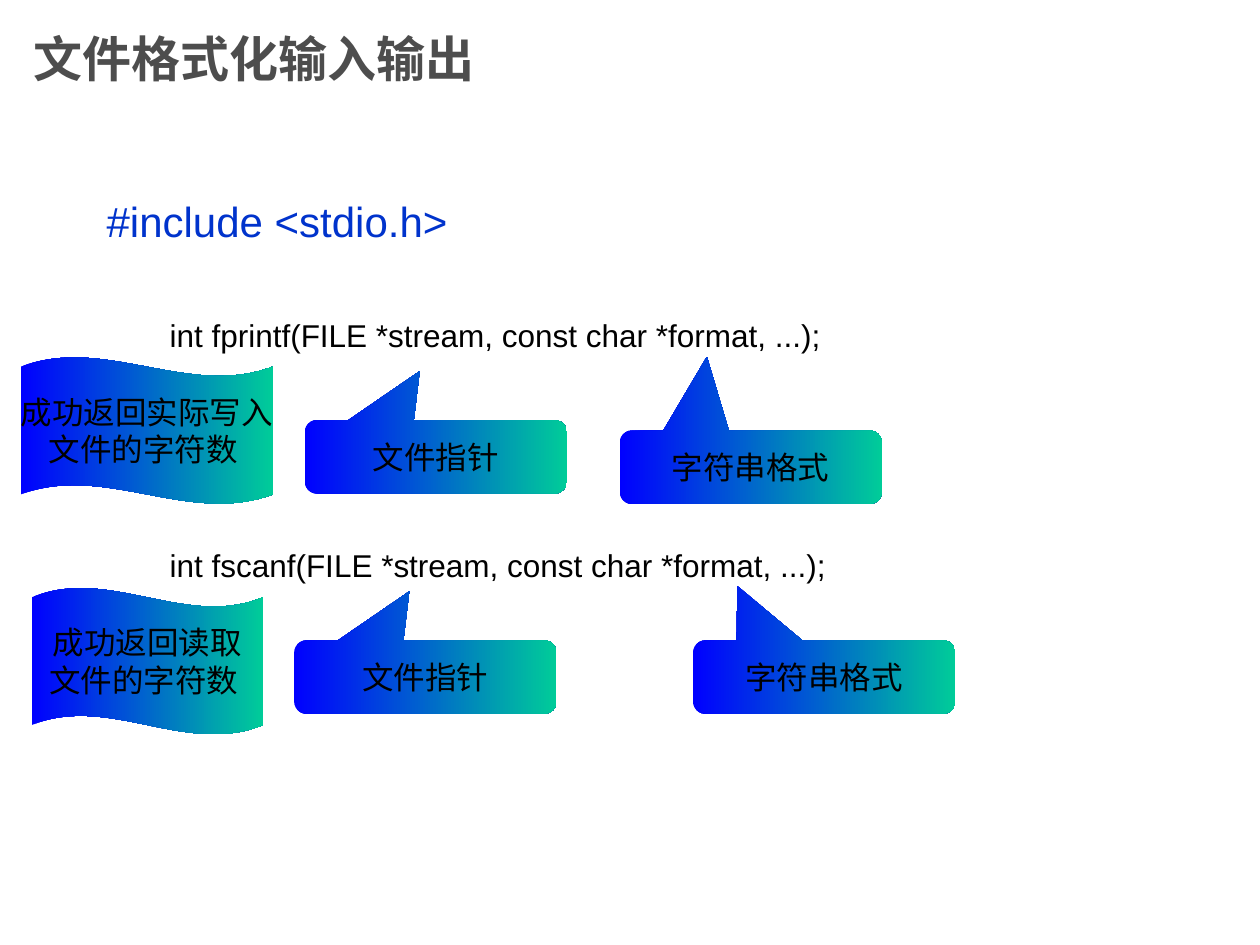
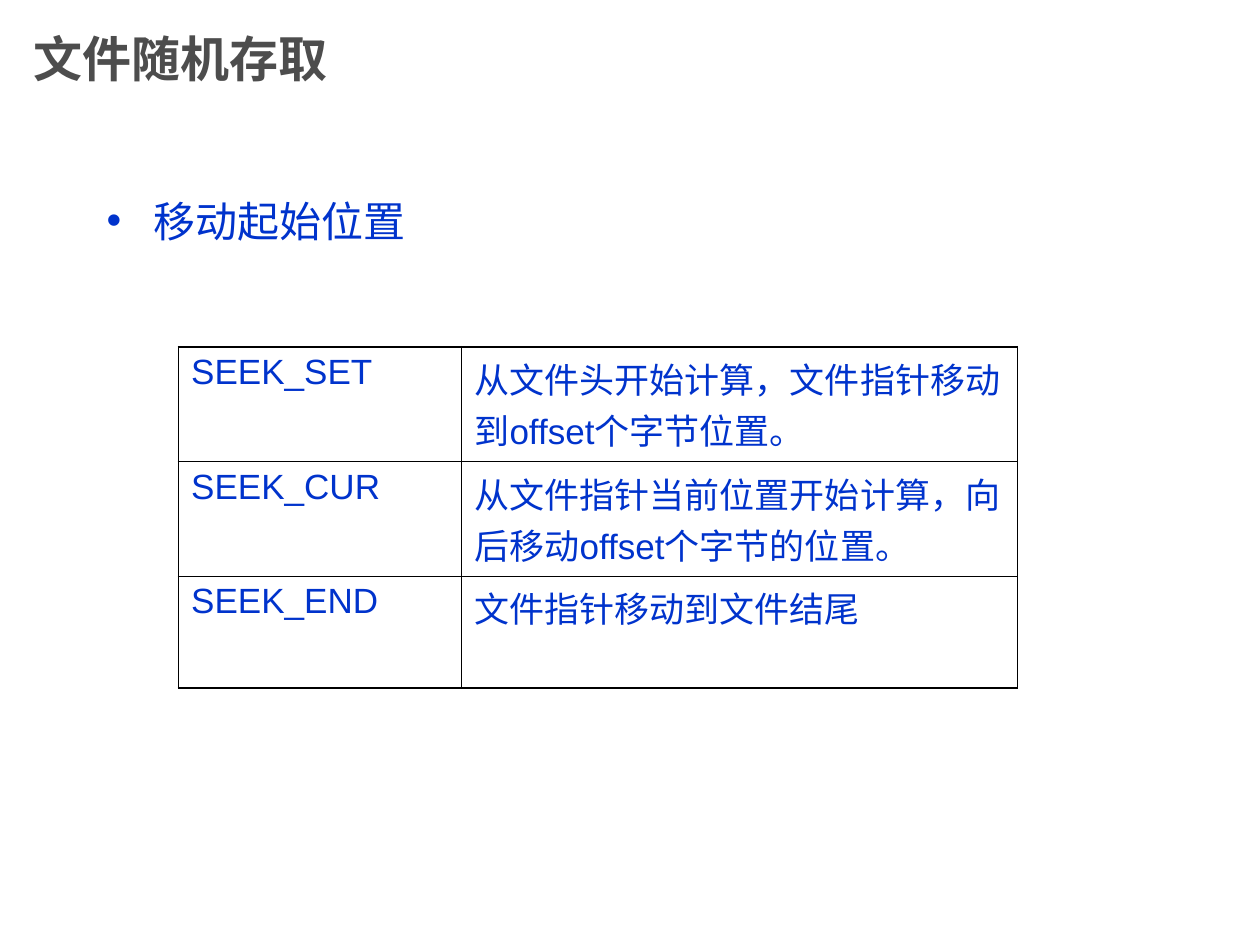
from lxml import etree
from pptx import Presentation
from pptx.dml.color import RGBColor
from pptx.enum.shapes import MSO_SHAPE
from pptx.enum.text import MSO_ANCHOR, PP_ALIGN
from pptx.oxml.ns import qn
from pptx.util import Cm, Pt

CALLOUT, WAVE = MSO_SHAPE.ROUNDED_RECTANGULAR_CALLOUT, MSO_SHAPE.WAVE
MIDDLE, CENTER = MSO_ANCHOR.MIDDLE, PP_ALIGN.CENTER
FONT = "Arial"
COLORS = {
    "title": "4D4D4D",
    "body": "0033CC",
    "text": "000000",
    "border": "000000",
    "gradient_start": "0000FF",
    "gradient_end": "00CC99",
}
BODY_AREA = (1.9, 3.81, 21.59, 13.12)
CALLOUT_SIZE = (5.29, 1.48)
OUTER_WIDTH, INNER_WIDTH = Pt(1.08), Pt(0.45)

CALLOUTS = [
    ("文件指针", 6.14, 8.47, (-0.061, -1.167)),
    ("文件指针", 5.93, 12.91, (-0.061, -1.167)),
    ("字符串格式", 12.49, 8.68, (-0.167, -1.506)),
    ("字符串格式", 13.97, 12.91, (-0.331, -1.241)),
]
RETURN_WAVES = [
    (("成功返回实际写入", "文件的字符数 "), (0.42, 7.2, 5.08, 2.96)),
    (("成功返回读取", "文件的字符数 "), (0.64, 11.85, 4.66, 2.96)),
]
SEEK_ROWS = [
    ("SEEK_SET", "从文件头开始计算，文件指针移动到offset个字节位置。"),
    ("SEEK_CUR", "从文件指针当前位置开始计算，向后移动offset个字节的位置。"),
    ("SEEK_END", "文件指针移动到文件结尾"),
]


def color(name):
    """Return the named colour."""
    return RGBColor.from_string(COLORS[name])


def write(para, text, size, color_name, bold=False, before=0):
    """Fill a paragraph with text in one font."""
    para.text = text
    para.font.name = FONT
    para.font.size = Pt(size)
    para.font.bold = bold
    para.font.color.rgb = color(color_name)
    para.space_before = Pt(before)


def add_text_frame(page, area):
    """Add a wrapping text box and return its frame."""
    frame = page.shapes.add_textbox(*map(Cm, area)).text_frame
    frame.word_wrap = True
    return frame


def add_page(deck, title):
    """Add a blank page with the shared title."""
    page = deck.slides.add_slide(deck.slide_layouts[6])
    frame = add_text_frame(page, (0.43, 0, 19.05, 2.33))
    frame.vertical_anchor = MIDDLE
    write(frame.paragraphs[0], title, 28, "title", bold=True)
    return page


def add_gradient_shape(page, kind, area, lines, adjustments):
    """Add a gradient shape with centred lines of text."""
    shape = page.shapes.add_shape(kind, *map(Cm, area))
    for index, value in enumerate(adjustments):
        shape.adjustments[index] = value
    shape.shadow.inherit = False
    shape.line.fill.background()
    shape.fill.gradient()
    shape.fill.gradient_angle = 0
    stops = shape.fill.gradient_stops
    for stop, position, name in zip(stops, (0, 1), ("gradient_start", "gradient_end")):
        stop.position = position
        stop.color.rgb = color(name)
    frame = shape.text_frame
    frame.word_wrap = kind == CALLOUT
    frame.vertical_anchor = MIDDLE
    for index, line in enumerate(lines):
        para = frame.add_paragraph() if index else frame.paragraphs[0]
        write(para, line, 18, "text")
        para.alignment = CENTER
        if len(lines) > 1:
            para.line_spacing = Pt(21.4)


def indent(para, left, first=0.0):
    """Set the left margin and first-line indent, and return the properties."""
    properties = para._p.get_or_add_pPr()
    properties.set("marL", str(Cm(left)))
    properties.set("indent", str(Cm(first)))
    return properties


def add_bullet(para):
    """Give a paragraph a hanging round bullet."""
    properties = indent(para, 0.95, -0.95)
    etree.SubElement(properties, qn("a:buFont"), typeface=FONT)
    etree.SubElement(properties, qn("a:buChar"), char="•")


def set_borders(cell, widths):
    """Draw the left, right, top and bottom borders of a cell."""
    properties = cell._tc.get_or_add_tcPr()
    for index, (side, width) in enumerate(zip("LRTB", widths)):
        line = etree.Element(qn(f"a:ln{side}"), w=str(width))
        fill = etree.SubElement(line, qn("a:solidFill"))
        etree.SubElement(fill, qn("a:srgbClr"), val=COLORS["border"])
        properties.insert(index, line)


def add_seek_table(page):
    """Add the table of start positions with a heavier outer frame."""
    column_widths, row_heights = (5.71, 11.2), (2.31, 2.31, 2.26)
    table = page.shapes.add_table(
        len(row_heights), len(column_widths), Cm(3.6), Cm(6.99),
        Cm(sum(column_widths)), Cm(sum(row_heights))).table
    table.first_row = table.horz_banding = False
    for column, width in zip(table.columns, column_widths):
        column.width = Cm(width)
    last_row, last_column = len(row_heights) - 1, len(column_widths) - 1
    for row, (texts, height) in enumerate(zip(SEEK_ROWS, row_heights)):
        table.rows[row].height = Cm(height)
        for column, text in enumerate(texts):
            cell = table.cell(row, column)
            write(cell.text_frame.paragraphs[0], text, 20, "body", before=5)
            cell.fill.background()
            on_edge = (column == 0, column == last_column, row == 0, row == last_row)
            set_borders(cell, [OUTER_WIDTH if edge else INNER_WIDTH for edge in on_edge])


def build_format_page(deck):
    """Build the page on formatted file input and output."""
    page = add_page(deck, "文件格式化输入输出")
    frame = add_text_frame(page, BODY_AREA)
    write(frame.paragraphs[0], "#include <stdio.h>", 24, "body", before=6)
    for name, before in (("fprintf", 40), ("fscanf", 110)):
        para = frame.add_paragraph()
        write(para, f"int {name}(FILE *stream, const char *format, ...);", 18, "text", before=before)
        indent(para, 1.27)
    for text, left, top, pointer in CALLOUTS:
        add_gradient_shape(page, CALLOUT, (left, top, *CALLOUT_SIZE), [text], (*pointer, 0.167))
    for lines, area in RETURN_WAVES:
        add_gradient_shape(page, WAVE, area, lines, (0.065, 0))


def build_seek_page(deck):
    """Build the page on random file access."""
    page = add_page(deck, "文件随机存取")
    add_seek_table(page)
    para = add_text_frame(page, BODY_AREA).paragraphs[0]
    write(para, "移动起始位置", 24, "body", before=6)
    add_bullet(para)


def main():
    """Build and save the deck."""
    deck = Presentation()
    deck.slide_width, deck.slide_height = Cm(25.4), Cm(19.05)
    build_format_page(deck)
    build_seek_page(deck)
    deck.save("out.pptx")


if __name__ == "__main__":
    main()
